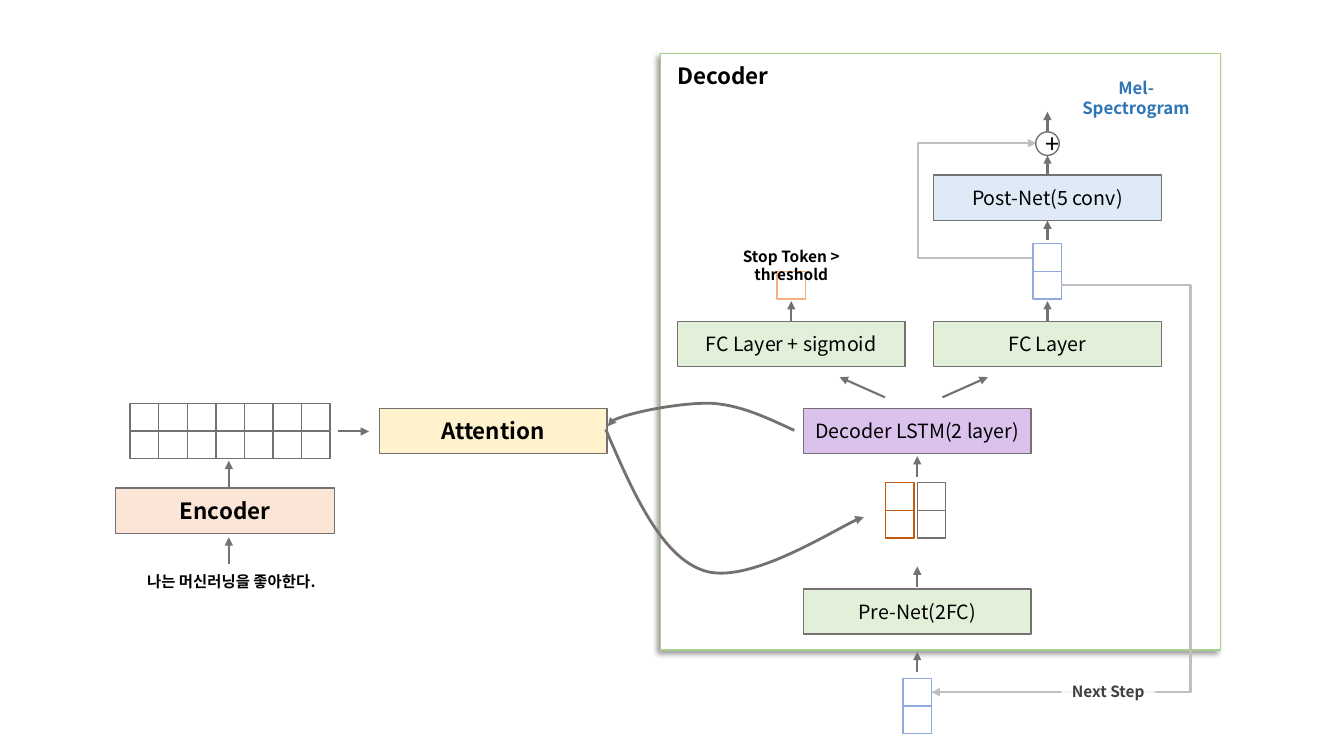
import pptx
import pptx.util
import pptx.dml.color
import pptx.enum.shapes
import pptx.enum.text
import pptx.oxml
import pptx.oxml.ns

HUES = {
    "white": "FFFFFF", "black": "000000", "gray": "767171", "pale": "BFBFBF",
    "dark": "404040", "lime": "A9D18E", "green": "E2F0D9", "gold": "FFF2CC",
    "plum": "DAC2EC", "sky": "DEEBF7", "peach": "FBE5D6", "rust": "C55A11",
    "blue": "8FAADC", "navy": "2E75B6", "coral": "F4B183",
}
FONT = "Noto Sans CJK KR"
COLS, ROWS = 160, 90  # grid over the whole slide
SHAPE = pptx.enum.shapes.MSO_SHAPE
LINK = pptx.enum.shapes.MSO_CONNECTOR
ALIGN = pptx.enum.text.PP_ALIGN
ANCHOR = pptx.enum.text.MSO_ANCHOR
qn = pptx.oxml.ns.qn


def hue(name):
    return pptx.dml.color.RGBColor.from_string(HUES[name])


def node(xml):
    return pptx.oxml.parse_xml(xml.replace(" ", f' {pptx.oxml.ns.nsdecls("a")} ', 1))


def write(frame, text, size=14, bold=False, color="black", align=ALIGN.CENTER):
    para = frame.paragraphs[0]
    para.alignment = align
    run = para.add_run()
    run.text = text
    font = run.font
    font.name, font.size, font.bold = FONT, pptx.util.Pt(size), bold
    font.color.rgb = hue(color)
    run._r.get_or_add_rPr().append(node(f'<a:ea typeface="{FONT}"/>'))


class Board:
    """Style and current slide; lengths are grid columns and rows."""

    def __init__(self, deck):
        self.unit_x = deck.slide_width / COLS
        self.unit_y = deck.slide_height / ROWS
        self.shapes = deck.slides.add_slide(deck.slide_layouts[6]).shapes

    def at(self, *spans):
        units = (self.unit_x, self.unit_y)
        return [round(span * units[i % 2]) for i, span in enumerate(spans)]

    def shape(self, x, y, w, h, fill=None, line="gray", kind=SHAPE.RECTANGLE):
        item = self.shapes.add_shape(kind, *self.at(x, y, w, h))
        item.shadow.inherit = False
        if fill:
            item.fill.solid()
            item.fill.fore_color.rgb = hue(fill)
        else:
            item.fill.background()
        if line:
            item.line.color.rgb = hue(line)
            item.line.width = pptx.util.Pt(1)
        else:
            item.line.fill.background()
        return item

    def box(self, text, mid, y, fill, w=27.1, **style):
        item = self.shape(mid - w / 2, y, w, 5.4, fill)
        item.text_frame.vertical_anchor = ANCHOR.MIDDLE
        write(item.text_frame, text, **style)
        return item

    def cells(self, x, y, cols=1, rows=2, w=3.4, h=3.3, **style):
        for row in range(rows):
            for col in range(cols):
                self.shape(x + col * w, y + row * h, w, h, **style)

    def label(self, text, x, y, w, h, wrap=False, **style):
        item = self.shapes.add_textbox(*self.at(x, y, w, h))
        self.fit(item.text_frame, wrap)
        write(item.text_frame, text, **style)

    def fit(self, frame, wrap=False):
        frame.word_wrap = wrap
        frame.auto_size = pptx.enum.text.MSO_AUTO_SIZE.SHAPE_TO_FIT_TEXT
        frame.vertical_anchor = ANCHOR.TOP

    def ink(self, item, color, width):
        item.line.color.rgb = hue(color)
        item.line.width = pptx.util.Pt(width)
        item.line._get_or_add_ln().append(node('<a:tailEnd type="triangle"/>'))

    def arrow(self, x0, y0, x1, y1, start=None, end=None):
        link = self.shapes.add_connector(LINK.STRAIGHT, *self.at(x0, y0, x1, y1))
        if start:
            link.begin_connect(*start)
        if end:
            link.end_connect(*end)
        self.ink(link, "gray", 1.5)
        link._element.spPr.append(node("<a:effectLst />"))

    def elbow(self, x0, y0, x1, y1, turn):
        link = self.shapes.add_connector(LINK.ELBOW, *self.at(x0, y0, x1, y1))
        bend = round((turn - x0) / (x1 - x0) * 100000)
        geom = link._element.spPr.find(qn("a:prstGeom"))
        geom.get_or_add_avLst().append(node(f'<a:gd name="adj1" fmla="val {bend}"/>'))
        self.ink(link, "pale", 1.5)
        link._element.spPr.append(node("<a:effectLst />"))

    def curve(self, *points):
        first, *rest = [self.at(*point) for point in points]
        pen = self.shapes.build_freeform(*first)
        pen.add_line_segments(rest, close=False)
        item = pen.convert_to_shape()
        item.shadow.inherit = False
        item.fill.background()
        self.ink(item, "gray", 2)
        # Every three points make one cubic curve
        steps = list(item._element.spPr.iter(qn("a:lnTo")))
        for i in range(0, len(steps), 3):
            cubic = node("<a:cubicBezTo />")
            steps[i].addprevious(cubic)
            for step in steps[i:i + 3]:
                cubic.append(step[0])
                step.getparent().remove(step)

    def shade(self, item):
        item._element.spPr.find(qn("a:effectLst")).append(node(
            '<a:outerShdw blurRad="50800" dist="38100" dir="8100000" algn="tr" '
            'rotWithShape="0"><a:srgbClr val="000000"><a:alpha val="40000"/>'
            '</a:srgbClr></a:outerShdw>'))


def main():
    deck = pptx.Presentation()
    deck.slide_width = pptx.util.Inches(13.333)
    deck.slide_height = pptx.util.Inches(7.5)
    board = Board(deck)
    stop, core, mel, code = 94.2, 109.2, 124.7, 27.24  # centre lines

    # Decoder panel
    board.shade(board.shape(78.6, 6.36, 66.7, 71.04, "white", "lime"))
    board.label("Decoder", 79.44, 6.84, 19.92, 4.44, wrap=True,
                size=16, bold=True, align=ALIGN.LEFT)

    # Blocks
    board.box("Attention", 58.7, 48.6, "gold", size=16, bold=True)
    board.box("Pre-Net(2FC)", core, 70.1, "green")
    board.box("Decoder LSTM(2 layer)", core, 48.6, "plum")
    gate = board.box("FC Layer + sigmoid", stop, 38.25, "green")
    dense = board.box("FC Layer", mel, 38.25, "green")

    # Vectors around the LSTM, and the decoder's input
    board.cells(core, 57.45)
    board.cells(105.4, 57.45, line="rust")
    board.cells(107.5, 80.75, line="blue")

    # Skip path, output vector and post-net
    board.elbow(123, 30.7, 123.36, 17.05, turn=109.3)
    board.cells(123, 29, fill="white", line="blue")
    post = board.box("Post-Net(5 conv)", mel, 20.85, "sky")
    plus = board.shape(123.3, 15.7, 2.8, 2.8, "white", kind=SHAPE.OVAL)
    plus.text_frame.vertical_anchor = ANCHOR.MIDDLE
    write(plus.text_frame, "+", size=18)

    # Stop token
    board.cells(92.5, 32.3, rows=1, fill="white", line="coral")
    board.label("Stop Token > threshold", 83.16, 28.8, 22.08, 3.48,
                size=11, bold=True)
    board.label("Mel-Spectrogram", 126, 8.64, 18.48, 3.6,
                size=12, bold=True, color="navy")

    # Feedback to the next step
    board.elbow(126.36, 33.95, 110.9, 82.4, turn=141.75)
    again = board.shape(126.36, 80.6, 11.16, 3.48, "white", None)
    again.fill._xPr.find(qn("a:solidFill"))[0].append(node('<a:alpha val="80000"/>'))
    board.fit(again.text_frame)
    write(again.text_frame, "Next Step", size=11, bold=True, color="dark")

    # Attention curves
    board.curve((72.12, 51.12), (75.36, 58.68), (78.72, 66.24), (83.76, 67.92),
                (88.92, 69.72), (101.76, 61.56), (102.84, 61.56))
    board.curve((94.56, 51.24), (91.2, 49.68), (87.96, 48.12), (84.36, 48),
                (80.64, 48), (71.64, 49.68), (72.36, 50.76))

    # Encoder
    board.label("나는 머신러닝을 좋아한다.", 16.08, 67.56, 22.32, 3.48,
                size=11, bold=True)
    board.box("Encoder", 26.8, 58.1, "peach", w=26.1, size=16, bold=True)
    board.cells(15.5, 48, cols=7, fill="white")

    # Upward arrows: centre line, from row, to row, joined ends
    for mid, low, high, start, end in (
            (core, 80.04, 77.6, None, None),
            (core, 69.84, 67.44, None, None),
            (core, 56.76, 54.3, None, None),
            (mel, 38.25, 35.85, (dense, 0), None),
            (stop, 38.25, 35.85, (gate, 0), None),
            (mel, 28.56, 26.25, None, (post, 2)),
            (mel, 20.85, 18.5, (post, 0), None),
            (mel, 15.7, 13.3, (plus, 0), None),
            (code, 67.1, 63.95, None, None),
            (code, 58.1, 54.85, None, None)):
        board.arrow(mid, low, mid, high, start, end)

    # Arrows to the two heads and to attention
    board.arrow(105.36, 47.3, 99.96, 44.9)
    board.arrow(112.2, 47.3, 117.6, 44.9)
    board.arrow(40.2, 51.36, 43.92, 51.36)

    deck.save("out.pptx")


if __name__ == "__main__":
    main()
